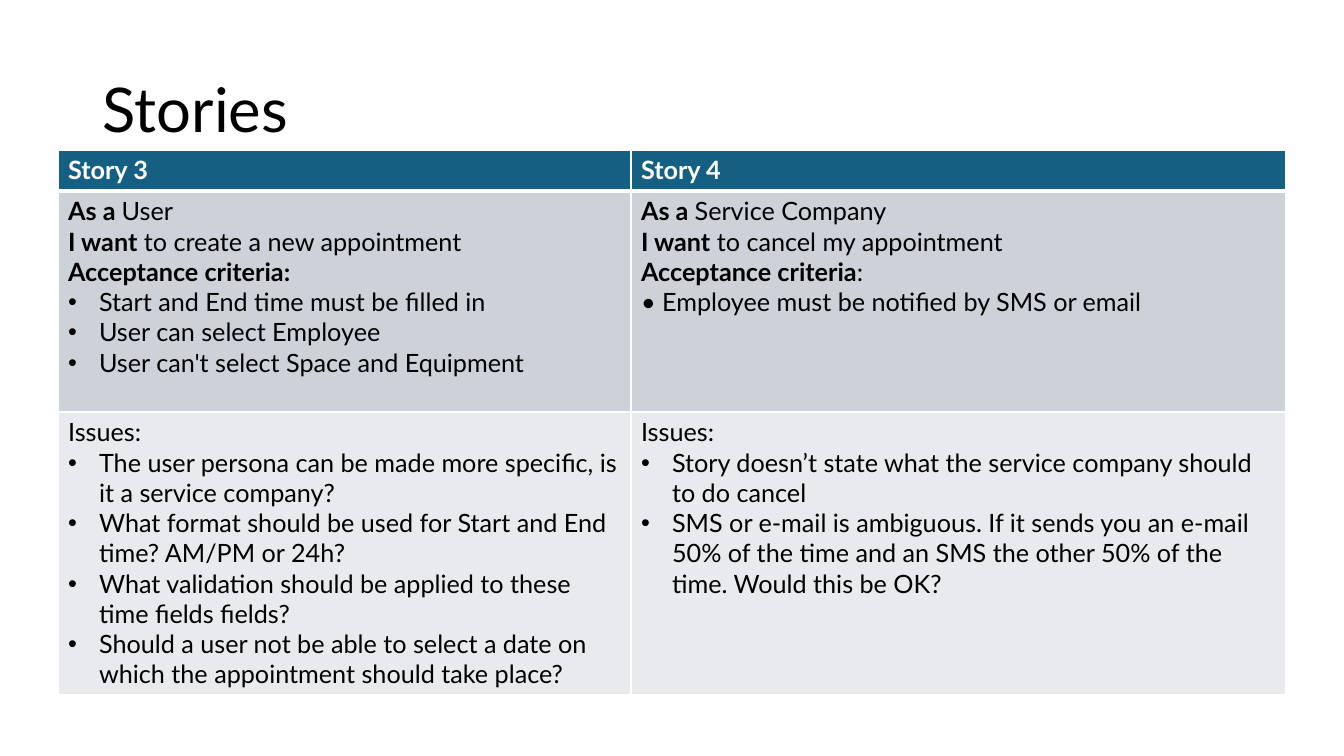
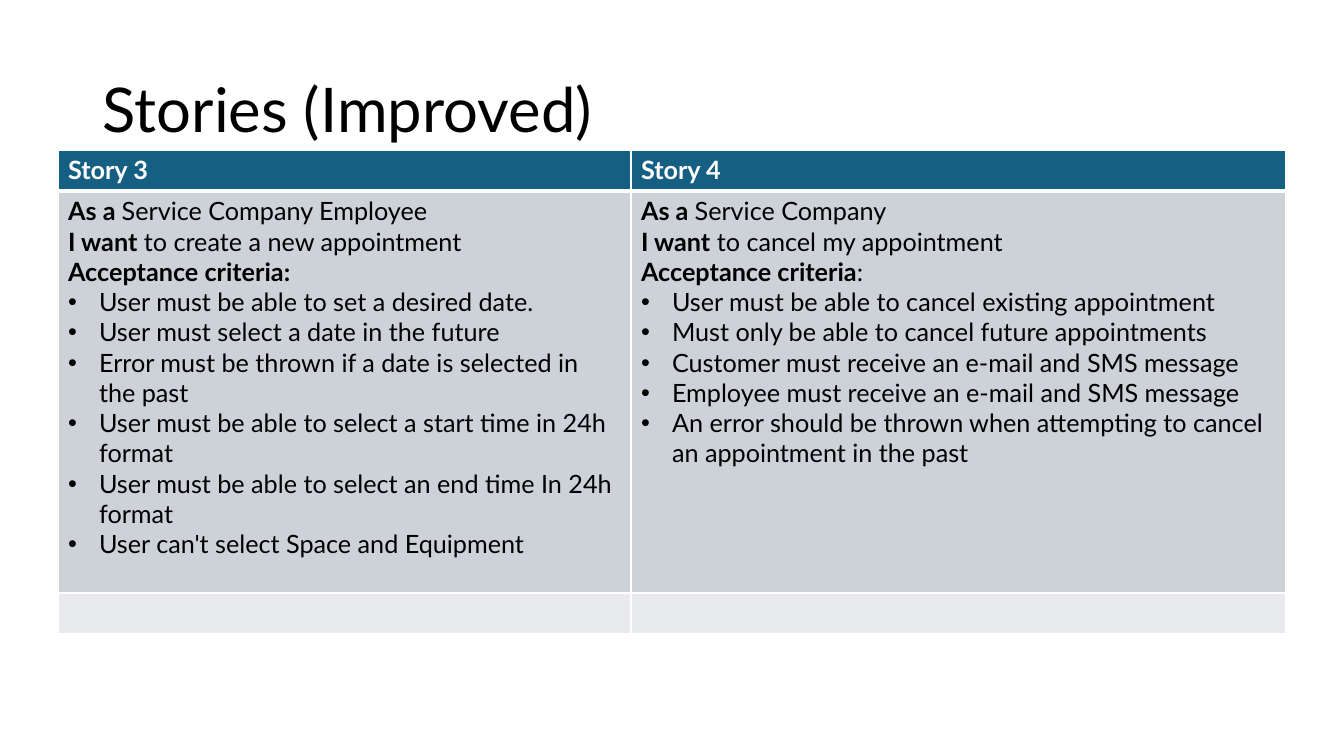
"""Build two slides that compare user stories before and after improvement."""
import pptx
import pptx.dml.color
import pptx.enum.text
import pptx.oxml
import pptx.oxml.ns
import pptx.util

SCALE = 12192000 / 1344
WHITE = pptx.dml.color.RGBColor(0xFF, 0xFF, 0xFF)
BLACK = pptx.dml.color.RGBColor(0x00, 0x00, 0x00)
TEAL = pptx.dml.color.RGBColor(0x15, 0x60, 0x82)
GREY = pptx.dml.color.RGBColor(0xCC, 0xD2, 0xD8)
PALE = pptx.dml.color.RGBColor(0xE8, 0xEA, 0xED)

FONT = "Lato"
TITLE_BOX = (93, 40, 1159, 146)
TABLE_LEFT, TABLE_TOP = 58, 150
COLUMN_WIDTHS = (573, 655)
ROW_FILLS = (TEAL, GREY, PALE)
BULLET_INDENT = 31
TITLE_FORMAT = {"name": FONT, "size": pptx.util.Pt(44)}
CELL_FORMAT = {"name": FONT, "size": pptx.util.Pt(18)}

HEADINGS = ([("Story 3", "")], [("Story 4", "")])
CREATE = ("I want", " to create a new appointment")
CANCEL = ("I want", " to cancel my appointment")
COMPANY = ("As a ", "Service Company")
CRITERIA_BOLD = ("Acceptance criteria:", "")
CRITERIA = ("Acceptance criteria", ":")
ISSUES = ("", "Issues:")

SLIDES = [
    {
        "title": "Stories",
        "heights": (41, 221, 282),
        "rows": [
            HEADINGS,
            (
                [
                    ("As a ", "User"), CREATE, CRITERIA_BOLD,
                    "Start and End time must be filled in",
                    "User can select Employee",
                    "User can't select Space and Equipment",
                ],
                [
                    COMPANY, CANCEL, CRITERIA,
                    ("", "• Employee must be notified by SMS or email"),
                ],
            ),
            (
                [
                    ISSUES,
                    "The user persona can be made more specific, is it a service company?",
                    "What format should be used for Start and End time? AM/PM or 24h?",
                    "What validation should be applied to these time fields fields?",
                    "Should a user not be able to select a date on which the appointment "
                    "should take place?",
                ],
                [
                    ISSUES,
                    "Story doesn’t state what the service company should to do cancel",
                    "SMS or e-mail is ambiguous. If it sends you an e-mail 50% of the time "
                    "and an SMS the other 50% of the time. Would this be OK?",
                ],
            ),
        ],
    },
    {
        "title": "Stories (Improved)",
        "heights": (41, 402, 41),
        "rows": [
            HEADINGS,
            (
                [
                    ("As a ", "Service Company Employee"), CREATE, CRITERIA_BOLD,
                    "User must be able to set a desired date.",
                    "User must select a date in the future",
                    "Error must be thrown if a date is selected in the past",
                    "User must be able to select a start time in 24h format",
                    "User must be able to select an end time In 24h format",
                    "User can't select Space and Equipment",
                ],
                [
                    COMPANY, CANCEL, CRITERIA,
                    "User must be able to cancel existing appointment",
                    "Must only be able to cancel future appointments",
                    "Customer must receive an e-mail and SMS message",
                    "Employee must receive an e-mail and SMS message",
                    "An error should be thrown when attempting to cancel an appointment "
                    "in the past",
                ],
            ),
            ([], []),
        ],
    },
]


def px(length):
    return pptx.util.Emu(round(length * SCALE))


def add_span(para, text, color, values):
    span = para.add_run()
    span.text = text
    for name, value in values.items():
        setattr(span.font, name, value)
    span.font.color.rgb = color


deck = pptx.Presentation()
deck.slide_width, deck.slide_height = px(1344), px(756)
namespace = pptx.oxml.ns.nsdecls("a")

for content in SLIDES:
    page = deck.slides.add_slide(deck.slide_layouts[6])

    box = page.shapes.add_textbox(*map(px, TITLE_BOX))
    box.text_frame.word_wrap = True
    box.text_frame.vertical_anchor = pptx.enum.text.MSO_ANCHOR.MIDDLE
    title_para = box.text_frame.paragraphs[0]
    title_para.line_spacing = 0.9
    add_span(title_para, content["title"], BLACK, TITLE_FORMAT)

    heights = content["heights"]
    frame = page.shapes.add_table(
        len(heights), len(COLUMN_WIDTHS), px(TABLE_LEFT), px(TABLE_TOP),
        px(sum(COLUMN_WIDTHS)), px(sum(heights)),
    )
    table = frame.table
    table.first_row = True
    table.horz_banding = False
    for column, width in zip(table.columns, COLUMN_WIDTHS):
        column.width = px(width)
    for row, height in zip(table.rows, heights):
        row.height = px(height)

    for row_index, cells in enumerate(content["rows"]):
        color = WHITE if row_index == 0 else BLACK
        border_points = {
            "lnL": 1,
            "lnR": 1,
            "lnT": 3 if row_index == 1 else 1,
            "lnB": 3 if row_index == 0 else 1,
        }
        for column_index, lines in enumerate(cells):
            cell = table.cell(row_index, column_index)
            properties = cell._tc.get_or_add_tcPr()
            for side, points in border_points.items():
                properties.append(pptx.oxml.parse_xml(
                    f'<a:{side} {namespace} w="{pptx.util.Pt(points)}"><a:solidFill>'
                    f'<a:srgbClr val="{WHITE}"/></a:solidFill></a:{side}>'
                ))
            cell.fill.solid()
            cell.fill.fore_color.rgb = ROW_FILLS[row_index]

            for line_index, line in enumerate(lines):
                text_frame = cell.text_frame
                para = text_frame.add_paragraph() if line_index else text_frame.paragraphs[0]
                bulleted = isinstance(line, str)
                strong, plain = ("", line) if bulleted else line
                if bulleted:
                    layout = para._p.get_or_add_pPr()
                    layout.set("marL", str(px(BULLET_INDENT)))
                    layout.set("indent", str(-px(BULLET_INDENT)))
                    for tag in ('buFont typeface="Arial"', 'buChar char="•"'):
                        layout.append(pptx.oxml.parse_xml(f"<a:{tag} {namespace}/>"))
                for text, bold in ((strong, True), (plain, False)):
                    if text:
                        add_span(para, text, color, CELL_FORMAT | {"bold": bold})

deck.save("out.pptx")
